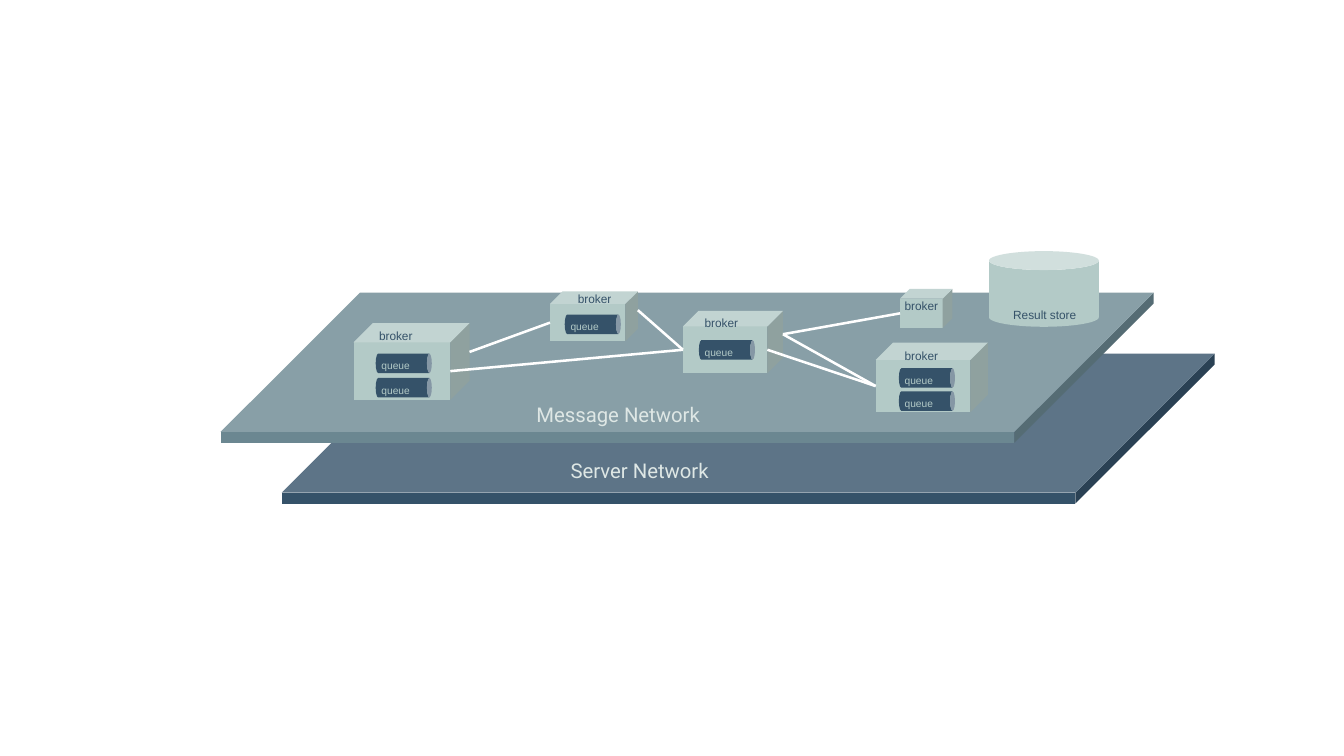
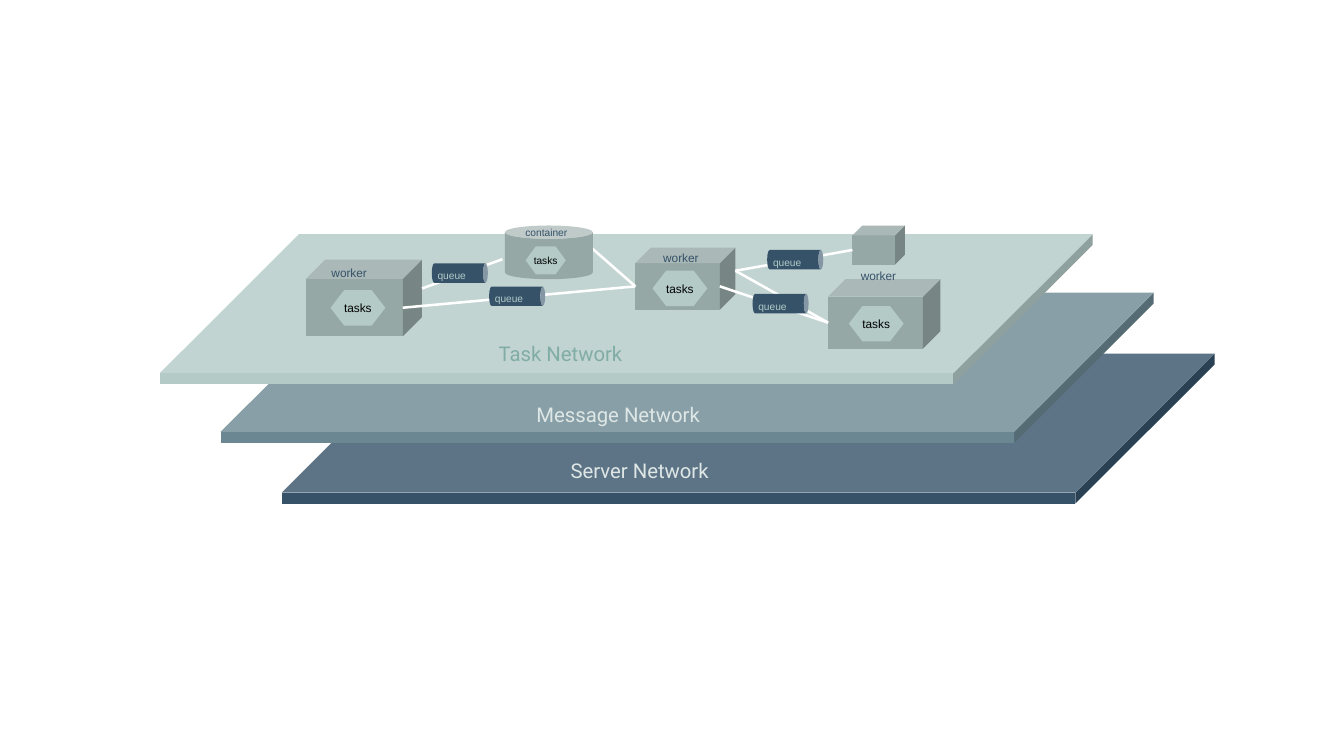
from pptx import Presentation
from pptx.dml.color import RGBColor
from pptx.enum.shapes import MSO_CONNECTOR, MSO_SHAPE
from pptx.enum.text import MSO_ANCHOR, MSO_AUTO_SIZE, PP_ALIGN
from pptx.oxml.ns import qn
from pptx.util import Emu, Pt
from lxml import etree

PX = 9144  # 100 px to the inch

NAVY = RGBColor(0x35, 0x52, 0x69)
TEAL = RGBColor(0x6B, 0x87, 0x91)
MINT = RGBColor(0xB3, 0xCA, 0xC7)
SAGE = RGBColor(0x95, 0xA8, 0xA5)
PALE = RGBColor(0xDE, 0xE7, 0xE5)
GREEN = RGBColor(0x81, 0xAC, 0xA6)
WHITE = RGBColor(0xFF, 0xFF, 0xFF)
BLACK = RGBColor(0, 0, 0)

# Layers of the stack, bottom first: plate corner, fill, label, box, label colour
LAYERS = [
    ((231, 290), NAVY, "Server Network", (458, 371, 255, 66), PALE),
    ((181, 240), TEAL, "Message Network", (430, 325, 210, 33), PALE),
    ((131, 192), MINT, "Task Network", (399, 275, 246, 53), GREEN),
]

# Nodes of the message network; the task network repeats them, shifted
NODES = {
    "west": (290, 265, 95, 63),
    "north": (451, 239, 72, 41),
    "south": (718, 281, 92, 57),
    "east": (738, 237, 43, 32),
    "hub": (560, 255, 82, 51),
}
SHIFT = (-39, -52)
LINKS = [
    ("west", "side", "north"),
    ("west", "front", "hub"),
    ("north", "side", "hub"),
    ("hub", "front", "south"),
    ("hub", "side", "east"),
    ("hub", "side", "south"),
]


def scale(box):
    return [Emu(round(n * PX)) for n in box]


def style(frame, text, size, color, font="Arial"):
    frame.text = text
    run = frame.paragraphs[0].runs[0]
    run.font.size, run.font.name = Pt(size), font
    run.font.color.rgb = color


def solid(shapes, kind, box, fill, adj=0.25):
    shape = shapes.add_shape(kind, *scale(box))
    shape.shadow.inherit = False
    shape.fill.solid()
    shape.fill.fore_color.rgb = fill
    shape.line.fill.background()
    shape.adjustments[0] = adj
    return shape


def label(shapes, text, box, size=7, color=NAVY, font="Arial"):
    frame = shapes.add_textbox(*scale(box)).text_frame
    frame.word_wrap = True
    frame.auto_size = MSO_AUTO_SIZE.SHAPE_TO_FIT_TEXT
    style(frame, text, size, color, font)


def tag(slide, text, x, y):
    label(slide.shapes, text, (x, y, 100, 21))


def queue(slide, x, y):
    """A lying can with its caption, placed from the caption's corner."""
    group = slide.shapes.add_group_shape().shapes
    solid(group, MSO_SHAPE.CAN, (x + 20, y - 15, 16, 46), NAVY).rotation = 90
    label(group, "queue", (x, y, 43, 19), 6, MINT)


def task(slide, box, size=7, adj=0.385):
    frame = solid(slide.shapes, MSO_SHAPE.HEXAGON, box, MINT, adj).text_frame
    frame.word_wrap = False
    frame.vertical_anchor = MSO_ANCHOR.MIDDLE
    style(frame, "tasks", size, BLACK)
    frame.paragraphs[0].alignment = PP_ALIGN.CENTER


def port(box, place):
    """Middle of a cube's left edge, front right edge or right side."""
    x, y, w, h = box
    depth = min(w, h) / 4
    return {
        "left": (x, y + (h + depth) / 2),
        "front": (x + w - depth, y + (h + depth) / 2),
        "side": (x + w, y + (h - depth) / 2),
    }[place]


def link(slide, start, end):
    line = slide.shapes.add_connector(MSO_CONNECTOR.STRAIGHT, *scale(start + end))
    line.line.color.rgb = WHITE
    line.line.width = Pt(1.5)
    etree.SubElement(line._element.spPr, qn("a:effectLst"))


def stack(slide, count):
    """The lowest plates of the stack with their names."""
    for corner, fill, *rest in LAYERS[:count]:
        solid(slide.shapes, MSO_SHAPE.CUBE, corner + (765, 123), fill, 0.928)
    for corner, fill, text, box, color in LAYERS[:count]:
        label(slide.shapes, text, box, 12, color, "Roboto")


def mesh(slide, fill, shift=(0, 0), skip=()):
    """Cubes joined by lines; skipped nodes keep their lines only."""
    dx, dy = shift
    nodes = {n: (x + dx, y + dy, w, h) for n, (x, y, w, h) in NODES.items()}
    for name, box in nodes.items():
        if name not in skip:
            solid(slide.shapes, MSO_SHAPE.CUBE, box, fill)
    for start, place, end in LINKS:
        link(slide, port(nodes[start], place), port(nodes[end], "left"))


def message(slide):
    stack(slide, 2)
    mesh(slide, MINT)
    # Queues inside the brokers
    for x, y in [(303, 290), (303, 310), (458, 258), (568, 279),
                 (732, 302), (732, 321)]:
        queue(slide, x, y)
    for x, y in [(301, 265), (732, 281), (568, 254), (464, 234), (732, 240)]:
        tag(slide, "broker", x, y)
    # Result store
    solid(slide.shapes, MSO_SHAPE.CAN, (811, 206, 90, 62), MINT)
    label(slide.shapes, "Result store", (821, 247, 73, 22))


def tasks(slide):
    stack(slide, 3)
    mesh(slide, SAGE, SHIFT, skip=("north",))
    # Queues along the lines
    for x, y in [(349, 216), (396, 235), (612, 241), (624, 205)]:
        queue(slide, x, y)
    # Workers
    for x, y in [(271, 238), (535, 222), (696, 251)]:
        task(slide, (x, y, 45, 29))
    for x, y in [(262, 213), (534, 201), (696, 215)]:
        tag(slide, "worker", x, y)
    # Container
    solid(slide.shapes, MSO_SHAPE.CAN, (414, 185, 72, 44), SAGE)
    label(slide.shapes, "container", (421, 181, 81, 32), 6)
    task(slide, (431, 202, 33, 23), 6, 0.367)


def main():
    deck = Presentation()
    deck.slide_width, deck.slide_height = scale((1102, 620))
    for build in (message, tasks):
        build(deck.slides.add_slide(deck.slide_layouts[6]))
    deck.save("out.pptx")


if __name__ == "__main__":
    main()
